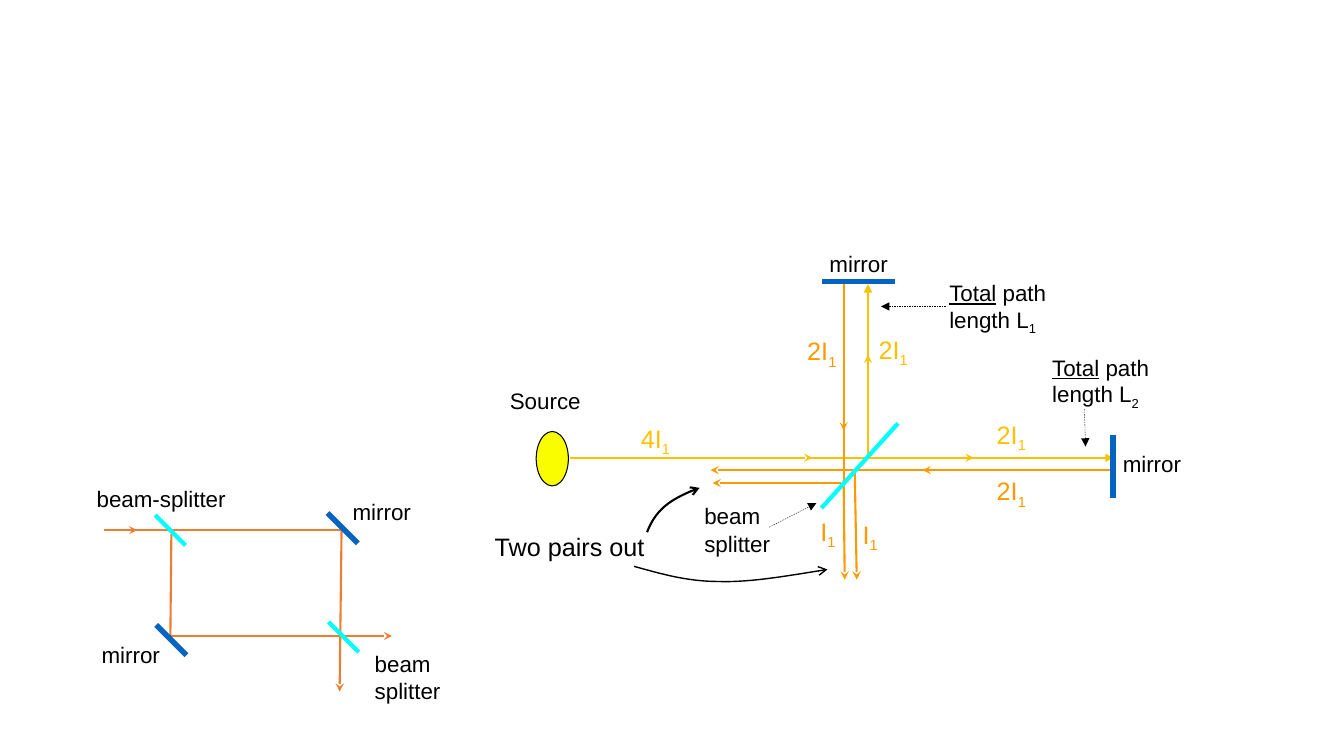
from lxml import etree
from pptx import Presentation
from pptx.dml.color import RGBColor
from pptx.enum.dml import MSO_LINE
from pptx.enum.shapes import MSO_CONNECTOR, MSO_SHAPE
from pptx.enum.text import MSO_AUTO_SIZE
from pptx.oxml.ns import qn
from pptx.util import Pt

STRAIGHT, OVAL = MSO_CONNECTOR.STRAIGHT, MSO_SHAPE.OVAL
DASH, GROW = MSO_LINE.DASH, MSO_AUTO_SIZE.SHAPE_TO_FIT_TEXT
BLACK = RGBColor(0x00, 0x00, 0x00)
RUST = RGBColor(0xED, 0x7D, 0x31)
GOLD = RGBColor(0xFF, 0xC0, 0x00)
AMBER = RGBColor(0xFF, 0x99, 0x00)
CYAN = RGBColor(0x00, 0xFF, 0xFF)
BLUE = RGBColor(0x05, 0x63, 0xC1)
YELLOW = RGBColor(0xFA, 0xFD, 0x00)

prs = Presentation()
prs.slide_width, prs.slide_height = Pt(960), Pt(540)
slide = prs.slides.add_slide(prs.slide_layouts[6])
shapes = slide.shapes


def stroke(shape, color, width, tip=None):
    shape.line.color.rgb = color
    shape.line.width = Pt(width)
    if tip:
        line = shape.line._get_or_add_ln()
        etree.SubElement(line, qn("a:tailEnd"), type=tip)


def ray(ends, color, width, tip=None):
    link = shapes.add_connector(STRAIGHT, *[Pt(v) for v in ends])
    etree.SubElement(link._element.spPr, qn("a:effectLst"))
    if color == BLACK:
        link.line.dash_style = DASH
    stroke(link, color, width, tip)


# Square interferometer: beams, then plates at the corners
for ends, tip in [
    ((121, 454.3, 280, 454.3), "stealth"),
    ((85, 378.7, 244, 378.7), None),
    ((74, 378.7, 98, 378.7), "stealth"),
    ((244, 378, 242.6, 494), "stealth"),
    ((122.4, 381.6, 121.7, 455), None),
]:
    ray(ends, RUST, 1.5, tip)

HALF = 10.8
for x, y, color, width in [
    (121.7, 378.7, CYAN, 3), (244.8, 377.3, BLUE, 4),
    (122.4, 457.2, BLUE, 4), (245.5, 455, CYAN, 3),
]:
    ray((x - HALF, y - HALF, x + HALF, y + HALF), color, width)

# Two-arm interferometer: outgoing beams, returning beams, mirrors
OUT_Y, BACK_Y, PAIR_Y = 327, 335.8, 345
OUT_X, BACK_X = 620, 602.6
for ends, color, tip in [
    ((577, OUT_Y, 795.5, OUT_Y), GOLD, "triangle"),
    ((OUT_X, 325.5, OUT_X, 203), GOLD, "triangle"),
    ((407, OUT_Y, 580.3, OUT_Y), GOLD, "stealth"),
    ((622, OUT_Y, 695.5, OUT_Y), GOLD, "stealth"),
    ((OUT_X, OUT_Y, OUT_X, 253.5), GOLD, "stealth"),
    ((793, BACK_Y, 610, BACK_Y), AMBER, None),
    ((762, BACK_Y, 659, BACK_Y), AMBER, "stealth"),
    ((610.5, BACK_Y, 507.6, BACK_Y), AMBER, "stealth"),
    ((610.5, BACK_Y, 612, 414), AMBER, "stealth"),
    ((BACK_X, 203, BACK_X, 343.5), AMBER, None),
    ((BACK_X, 234, BACK_X, 307.5), AMBER, "stealth"),
    ((BACK_X, 342.7, 603.4, 414), AMBER, "stealth"),
    ((601, PAIR_Y, 509, PAIR_Y), AMBER, "stealth"),
]:
    ray(ends, color, 1.5, tip)
ray((795, 311, 795, 355.5), BLUE, 4)
ray((639, 201, 587.5, 201), BLUE, 4)

# Dashed pointers
for ends in [(774.6, 292.3, 775.4, 319), (675.4, 218.9, 629.3, 218.9),
             (549.4, 376.6, 583.2, 359.3)]:
    ray(ends, BLACK, 0.25, "triangle")

# Light source
lamp = shapes.add_shape(OVAL, Pt(383), Pt(308.2), Pt(23), Pt(38.9))
lamp.shadow.inherit = False
lamp.fill.solid()
lamp.fill.fore_color.rgb = YELLOW
stroke(lamp, BLACK, 0.75)

# Labels: place, width, size, colour, then runs as (text, style)
ONE, TWO = ("1", "sub"), ("2", "sub")
MIRROR = [("mirror", "")]
TOTAL = [("Total", "line"), (" path ", ""), ("", "break"), ("length L", "")]
for x, y, wide, size, color, runs in [
    (61.9, 342.7, 135, 16, BLACK, [("beam-splitter", "")]),
    (244.8, 352, 85, 16, BLACK, MIRROR),
    (65.5, 454.3, 60, 16, BLACK, MIRROR),
    (794.9, 318.2, 70, 16, BLACK, MIRROR),
    (585.4, 175, 70, 16, BLACK, MIRROR),
    (260.6, 460.8, 62.6, 16, BLACK,
     [("beam", ""), ("", "break"), ("splitter", "")]),
    (496, 355, 85, 16, BLACK,
     [("beam", ""), ("", "para"), ("splitter", "")]),
    (744.5, 249.1, 91.4, 16, BLACK, TOTAL + [TWO]),
    (671, 195.8, 91.4, 16, BLACK, TOTAL + [ONE]),
    (357.1, 272.9, 70, 16, BLACK, [("Source", "")]),
    (346.3, 375.8, 122.4, 18, BLACK, [("Two pairs out", "")]),
    (450.7, 298.8, 58, 18, GOLD, [("4I", ""), ONE]),
    (704.9, 295.9, 58, 18, GOLD, [("2I", ""), ONE]),
    (620.6, 235.4, 58, 18, GOLD, [("2I", ""), ONE]),
    (704.9, 336.2, 42, 18, AMBER, [("2I", ""), ONE]),
    (569.5, 236.2, 37.5, 18, AMBER, [("2I", ""), ONE]),
    (578.9, 365, 58, 18, AMBER, [("I", ""), ONE]),
    (609.1, 367.2, 58, 18, AMBER, [("I", ""), ONE]),
]:
    rows = 1 + sum(style in ("break", "para") for _, style in runs)
    box = shapes.add_textbox(Pt(x), Pt(y), Pt(wide), Pt(7.2 + rows * size * 1.2))
    frame = box.text_frame
    frame.word_wrap = True
    frame.auto_size = GROW
    para = frame.paragraphs[0]
    for text, style in runs:
        if style == "break":
            para.add_line_break()
            continue
        if style == "para":
            para = frame.add_paragraph()
            para.space_before = Pt(0.8)
            continue
        run = para.add_run()
        run.text = text
        font = run.font
        font.name, font.size = "Arial", Pt(size)
        font.color.rgb = color
        if style == "line":
            font.underline = True
        if style == "sub":
            font._element.set("baseline", "-25000")

# Curved arrows: each is a chain of cubic arcs drawn in short steps
STEPS = 16
for knots, width in [
    ([(462.2, 380.2), (465, 373), (469, 366.5), (475.2, 361.4),
      (481, 356.4), (490.3, 352), (499.7, 348.5)], 1.5),
    ([(452.9, 404.6), (471.6, 409.7), (490.3, 415.4), (513.4, 415.4),
      (536.4, 416.2), (563.8, 411.1), (591.1, 406.8)], 1),
]:
    dots = []
    for k in range(0, len(knots) - 1, 3):
        for step in range(1, STEPS + 1):
            t = step / STEPS
            mix = ((1 - t) ** 3, 3 * t * (1 - t) ** 2, 3 * t * t * (1 - t), t ** 3)
            dots.append([Pt(sum(m * p[axis] for m, p in zip(mix, knots[k:k + 4])))
                         for axis in (0, 1)])
    pen = shapes.build_freeform(Pt(knots[0][0]), Pt(knots[0][1]))
    pen.add_line_segments(dots, close=False)
    curve = pen.convert_to_shape()
    curve.shadow.inherit = False
    curve.fill.background()
    stroke(curve, BLACK, width, "arrow")

# Beam splitter on top of the crossing beams
ray((641.5, 302.4, 586.8, 362.9), CYAN, 3)

prs.save("out.pptx")
